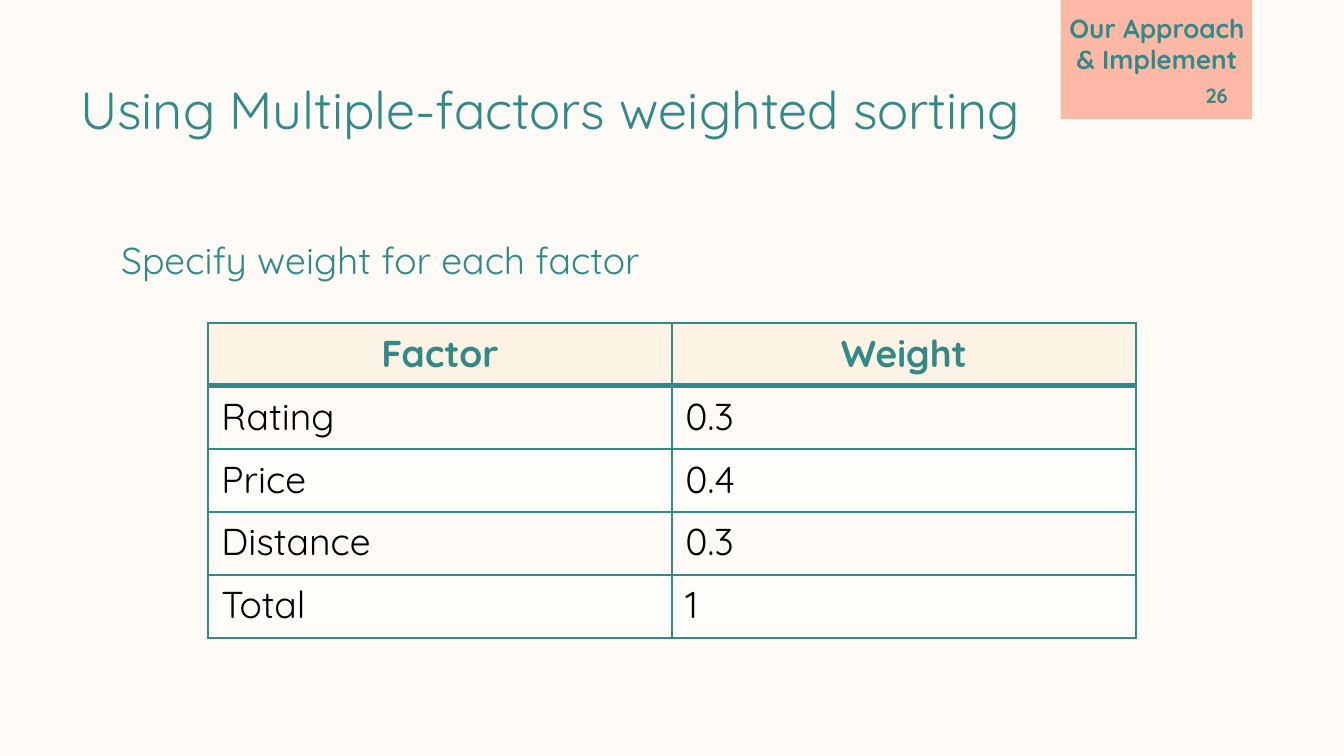
from dataclasses import dataclass

from pptx import Presentation
from pptx.dml.color import RGBColor
from pptx.enum.shapes import MSO_SHAPE
from pptx.enum.text import MSO_ANCHOR, MSO_AUTO_SIZE, PP_ALIGN
from pptx.oxml import parse_xml
from pptx.oxml.ns import nsdecls
from pptx.util import Pt

W, H = 1344, 756
EMU_PER_PX = 9144000 / W
FONT = "Quicksand"
TEAL, PEACH, CREAM, BLACK = "338987", "FFB8A5", "FDF3E5", "000000"
PAPER, BANDS = "FEFBF7", ("FEFAF5", "FFFDFA")


@dataclass(frozen=True)
class Box:
    x: int
    y: int
    w: int
    h: int

    def emu(self) -> tuple[int, ...]:
        return tuple(px(v) for v in (self.x, self.y, self.w, self.h))


@dataclass(frozen=True)
class Row:
    factor: str
    weight: str


ROWS = (
    Row("Factor", "Weight"),
    Row("Rating", "0.3"),
    Row("Price", "0.4"),
    Row("Distance", "0.3"),
    Row("Total", "1"),
)


def px(n: int) -> int:
    return round(n * EMU_PER_PX)


def paint(fill, color: str) -> None:
    fill.solid()
    fill.fore_color.rgb = RGBColor.from_string(color)


def write(tf, text: str, *, size: int, color: str = TEAL, bold: bool = False,
          align=PP_ALIGN.LEFT) -> None:
    p = tf.paragraphs[0]
    p.alignment = align
    r = p.add_run()
    r.text = text
    r.font.name = FONT
    r.font.size = Pt(size)
    r.font.bold = bold
    r.font.color.rgb = RGBColor.from_string(color)


def fit_frame(tf, *, pad_x: int = 13, pad_y: int = 7, anchor=MSO_ANCHOR.TOP) -> None:
    tf.word_wrap = True
    tf.auto_size = MSO_AUTO_SIZE.NONE
    tf.vertical_anchor = anchor
    tf.margin_left = tf.margin_right = px(pad_x)
    tf.margin_top = tf.margin_bottom = px(pad_y)


def add_text(s, box: Box, text: str, *, pad_y: int = 7, anchor=MSO_ANCHOR.TOP,
             **fmt) -> None:
    tf = s.shapes.add_textbox(*box.emu()).text_frame
    fit_frame(tf, pad_y=pad_y, anchor=anchor)
    write(tf, text, **fmt)


def set_title(s, box: Box, text: str, **fmt) -> None:
    sp = s.shapes.title
    sp.left, sp.top, sp.width, sp.height = box.emu()
    fit_frame(sp.text_frame)
    write(sp.text_frame, text, **fmt)


def add_block(s, box: Box, color: str) -> None:
    sp = s.shapes.add_shape(MSO_SHAPE.RECTANGLE, *box.emu())
    sp.shadow.inherit = False
    paint(sp.fill, color)
    sp.line.fill.background()


def set_borders(cell, **widths: int) -> None:
    pr = cell._tc.get_or_add_tcPr()
    for i, side in enumerate("LRTB"):
        pr.insert(i, parse_xml(
            f'<a:ln{side} {nsdecls("a")} w="{Pt(widths.get(side, 1))}">'
            f'<a:solidFill><a:srgbClr val="{TEAL}"/></a:solidFill></a:ln{side}>'))


def add_weights(s, box: Box, rows: tuple[Row, ...]) -> None:
    tbl = s.shapes.add_table(len(rows), 2, *box.emu()).table
    for i, row in enumerate(rows):
        header = i == 0
        for j, text in enumerate((row.factor, row.weight)):
            cell = tbl.cell(i, j)
            paint(cell.fill, CREAM if header else BANDS[(i - 1) % 2])
            set_borders(cell, B=3 if header else 1, T=3 if i == 1 else 1)
            write(cell.text_frame, text, size=20, bold=header,
                  color=TEAL if header else BLACK,
                  align=PP_ALIGN.CENTER if header else PP_ALIGN.LEFT)


def main() -> None:
    prs = Presentation()
    prs.slide_width, prs.slide_height = px(W), px(H)
    s = prs.slides.add_slide(prs.slide_layouts[5])
    paint(s.background.fill, PAPER)

    add_block(s, Box(1061, 0, 191, 119), PEACH)
    add_text(s, Box(1160, 70, 81, 58), "26", pad_y=13, size=11, bold=True,
             align=PP_ALIGN.RIGHT)
    add_weights(s, Box(208, 323, 928, 315), ROWS)
    set_title(s, Box(67, 70, 1132, 77), "Using Multiple-factors weighted sorting", size=28)
    add_text(s, Box(108, 230, 1169, 59), "Specify weight for each factor", size=20)
    add_text(s, Box(1052, 17, 210, 71), "Our Approach & Implement", pad_y=13,
             anchor=MSO_ANCHOR.BOTTOM, size=14, bold=True, align=PP_ALIGN.CENTER)
    prs.save("out.pptx")


if __name__ == "__main__":
    main()
